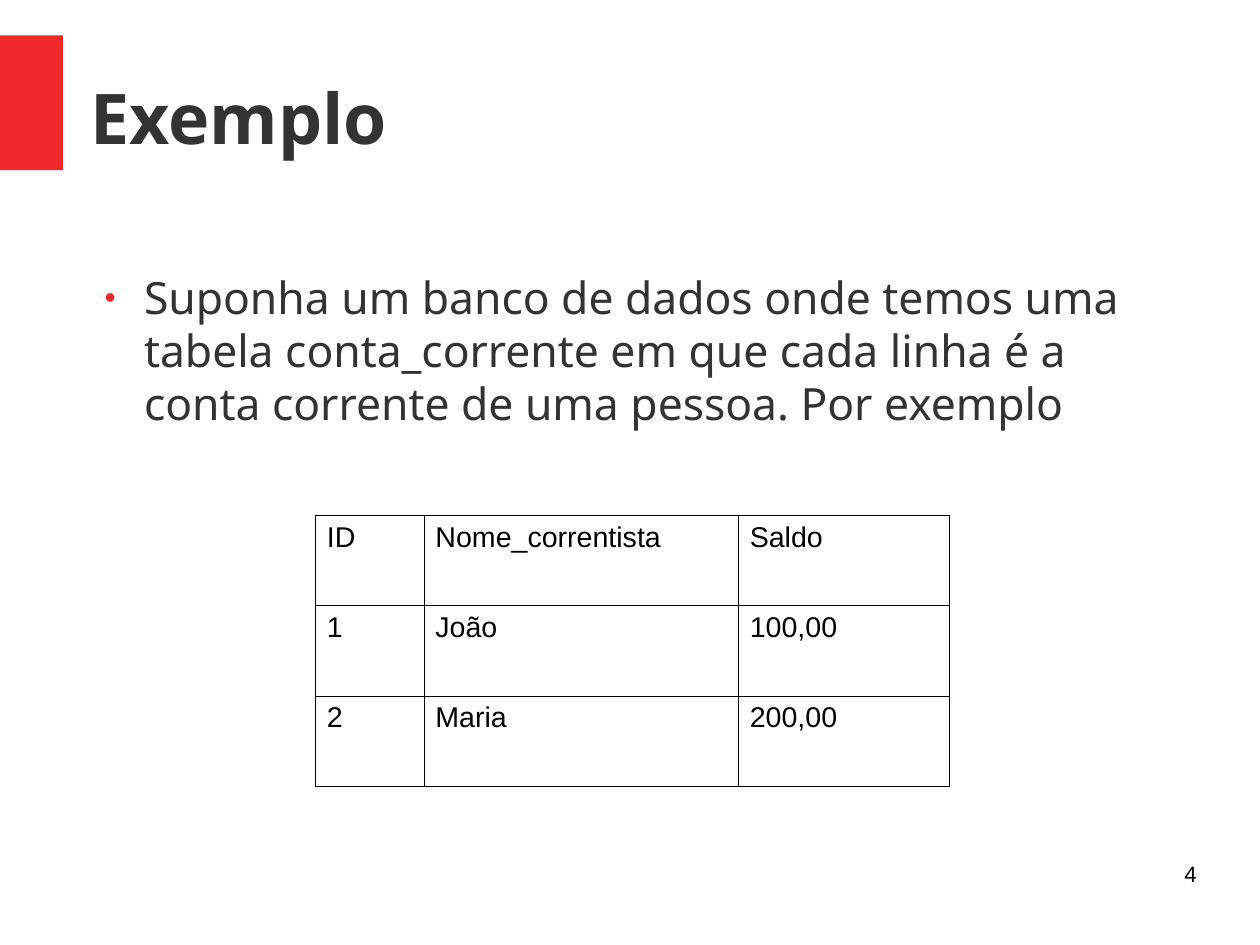
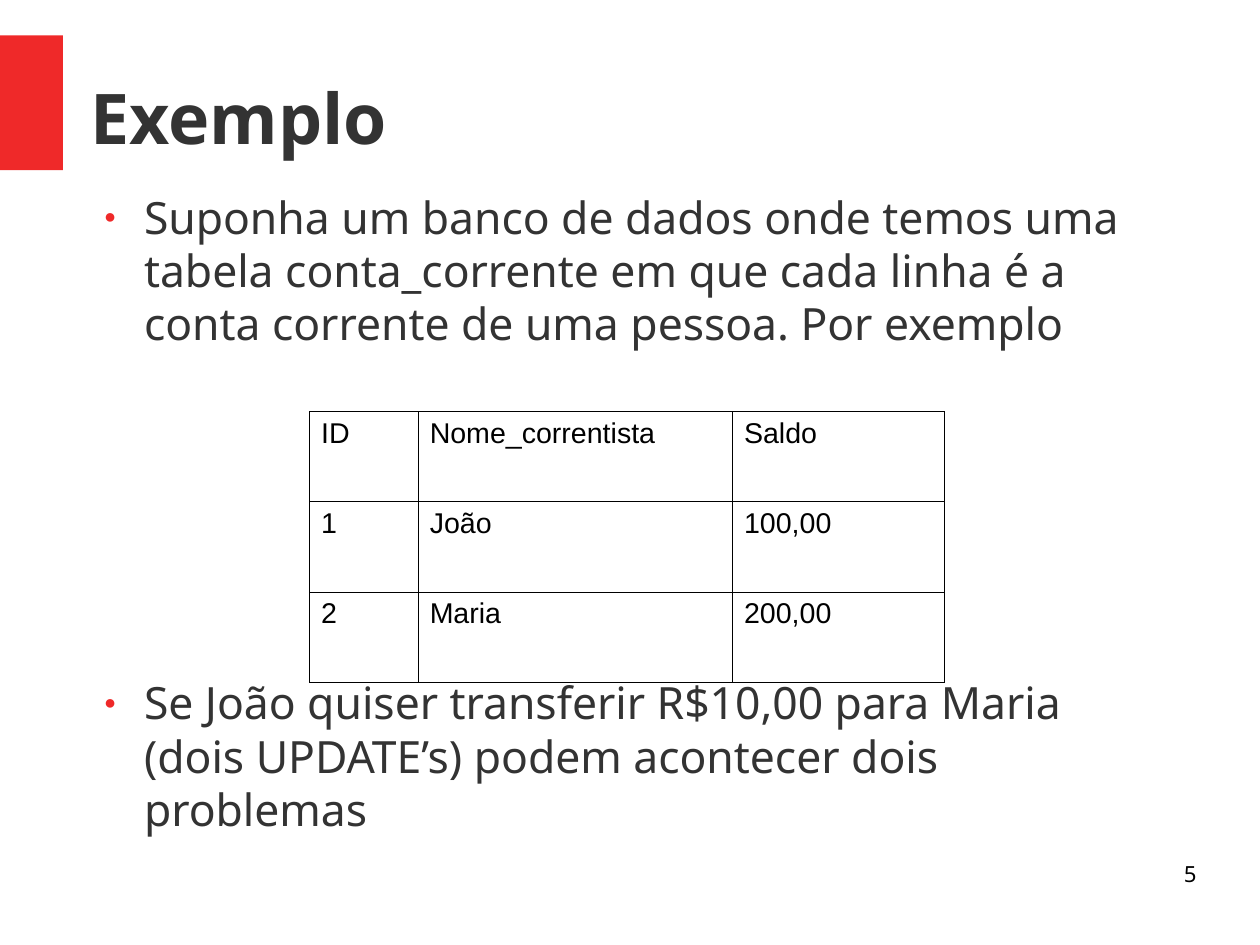
from lxml import etree
from pptx import Presentation
from pptx import util as u
from pptx.dml.color import RGBColor
from pptx.enum import shapes, text
from pptx.oxml import ns

RED, GREY, BLACK = "EF2929", "333333", "000000"
TITLE = {"name": "Noto Sans", "size": u.Pt(44), "bold": True}
BODY = {"name": "Noto Sans", "size": u.Pt(28), "bold": False}
CELL = {"name": "Arial", "size": u.Pt(18), "bold": False}
PAGE = {"size": u.Pt(14), "bold": False}
INTRO = ("Suponha um banco de dados onde temos uma tabela conta_corrente "
         "em que cada linha é a conta corrente de uma pessoa. Por exemplo")
MOVE = ("Se João quiser transferir R$10,00 para Maria (dois UPDATE’s) "
        "podem acontecer dois problemas")
ROWS = [("ID", "Nome_correntista", "Saldo"),
        ("1", "João", "100,00"),
        ("2", "Maria", "200,00")]
COLS = (0.95, 2.75, 1.85)
ROW_H = 0.79


def paint(target, color):
    """Set a solid fill from a hex string."""
    target.solid()
    target.fore_color.rgb = RGBColor.from_string(color)


def style(font, values, color):
    """Apply a dict of font values and a colour."""
    for key, value in values.items():
        setattr(font, key, value)
    paint(font.fill, color)


def node(parent, tag, **attrs):
    """Append a drawing element and return it."""
    return etree.SubElement(parent, ns.qn("a:" + tag), attrs)


def add_bullet(para):
    """Give a paragraph a hanging red dot."""
    props = para._p.get_or_add_pPr()
    props.set("marL", str(u.Inches(0.47)))
    props.set("indent", str(u.Inches(-0.35)))
    node(node(props, "buClr"), "srgbClr", val=RED)
    node(props, "buSzPct", val="45000")
    node(props, "buFont", typeface="Arial")
    node(props, "buChar", char="●")


def add_text(slide, box, words, values, color, bullet=False,
             anchor=text.MSO_ANCHOR.TOP, align=text.PP_ALIGN.LEFT):
    """Place one paragraph in a box without insets."""
    frame = slide.shapes.add_textbox(*map(u.Inches, box)).text_frame
    insets = dict.fromkeys(("margin_left", "margin_top",
                            "margin_right", "margin_bottom"), 0)
    for key, value in {**insets, "word_wrap": True,
                       "vertical_anchor": anchor}.items():
        setattr(frame, key, value)
    para = frame.paragraphs[0]
    para.text, para.alignment = words, align
    if bullet:
        add_bullet(para)
    style(para.runs[0].font, values, color)


def add_body(slide, top, words, height=1.5):
    """Place a bulleted statement in the body column."""
    add_text(slide, (0.79, top, 9.45, height), words, BODY, GREY, bullet=True)


def add_grid(slide, left, top):
    """Place the account table with thin black rules."""
    box = left, top, sum(COLS), ROW_H * len(ROWS)
    table = slide.shapes.add_table(len(ROWS), len(COLS),
                                   *map(u.Inches, box)).table
    table.first_row = table.horz_banding = False
    for col, width in zip(table.columns, COLS):
        col.width = u.Inches(width)
    for row, words in zip(table.rows, ROWS):
        row.height = u.Inches(ROW_H)
        for cell, word in zip(row.cells, words):
            cell.text = word
            style(cell.text_frame.paragraphs[0].runs[0].font, CELL, BLACK)
            props = cell._tc.get_or_add_tcPr()
            for side in "LRTB":
                line = node(props, "ln" + side, w=str(u.Pt(0.57)))
                node(node(line, "solidFill"), "srgbClr", val=BLACK)
            cell.fill.background()


def add_slide(deck, title, number, face):
    """Start a slide with its red band, title and page number."""
    slide = deck.slides.add_slide(deck.slide_layouts[6])
    band = slide.shapes.add_shape(shapes.MSO_SHAPE.RECTANGLE,
                                  *map(u.Inches, (0, 0.31, 0.55, 1.18)))
    band.shadow.inherit = False
    paint(band.fill, RED)
    band.line.fill.background()
    add_text(slide, (0.79, 0.33, 9.68, 1.38), title, TITLE, GREY,
             anchor=text.MSO_ANCHOR.MIDDLE)
    add_text(slide, (7.9, 7.53, 2.57, 0.57), number, {**PAGE, "name": face},
             BLACK, align=text.PP_ALIGN.RIGHT)
    return slide


def main():
    """Build and save the deck."""
    deck = Presentation()
    deck.slide_width, deck.slide_height = u.Cm(28), u.Cm(21)
    first = add_slide(deck, "Exemplo", "4", "Arial")
    add_body(first, 2.36, INTRO)
    add_grid(first, 2.76, 4.51)
    second = add_slide(deck, "Exemplo", "5", "Noto Sans")
    add_body(second, 1.66, INTRO)
    add_body(second, 5.91, MOVE)
    add_grid(second, 2.71, 3.6)
    deck.save("out.pptx")


if __name__ == "__main__":
    main()
